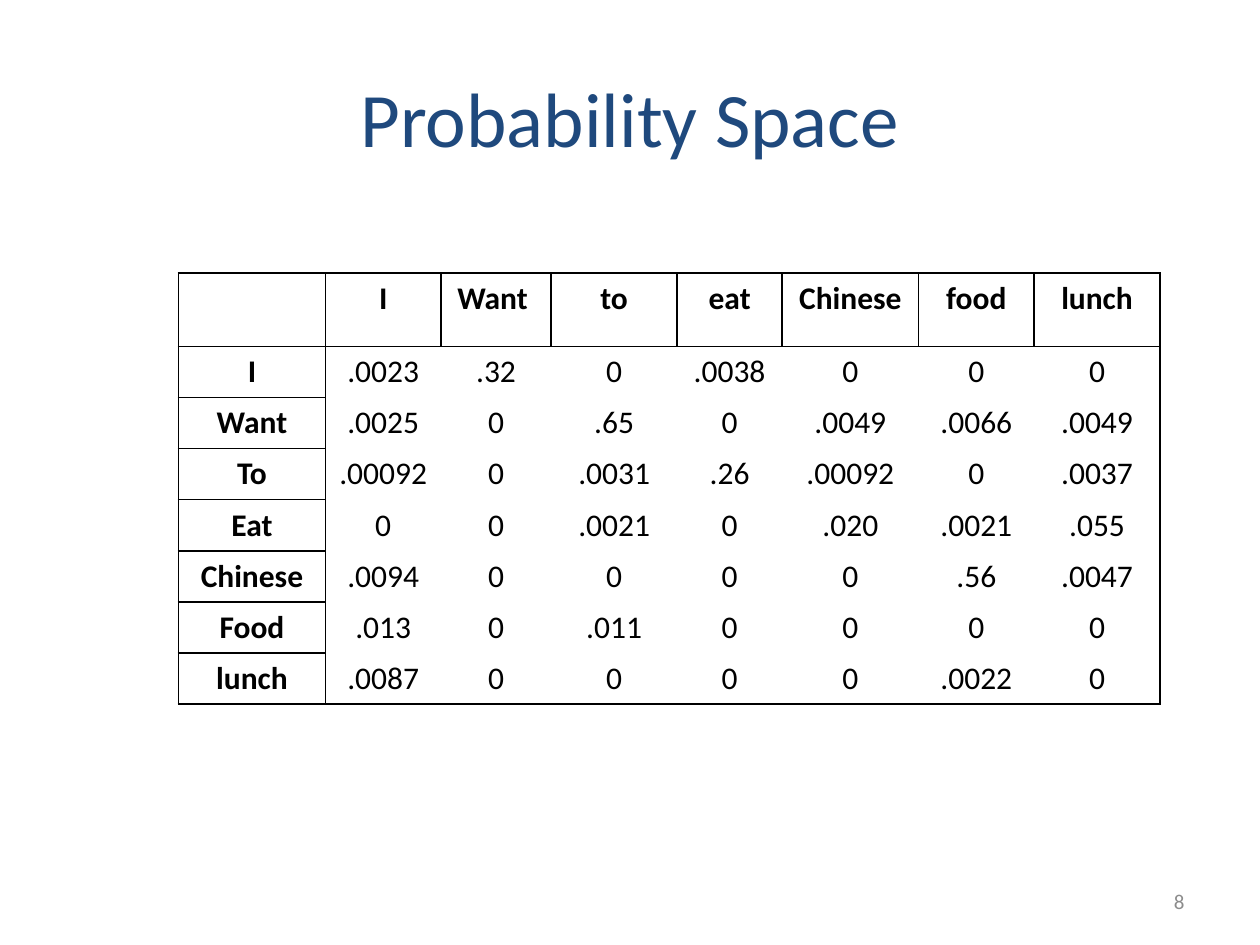
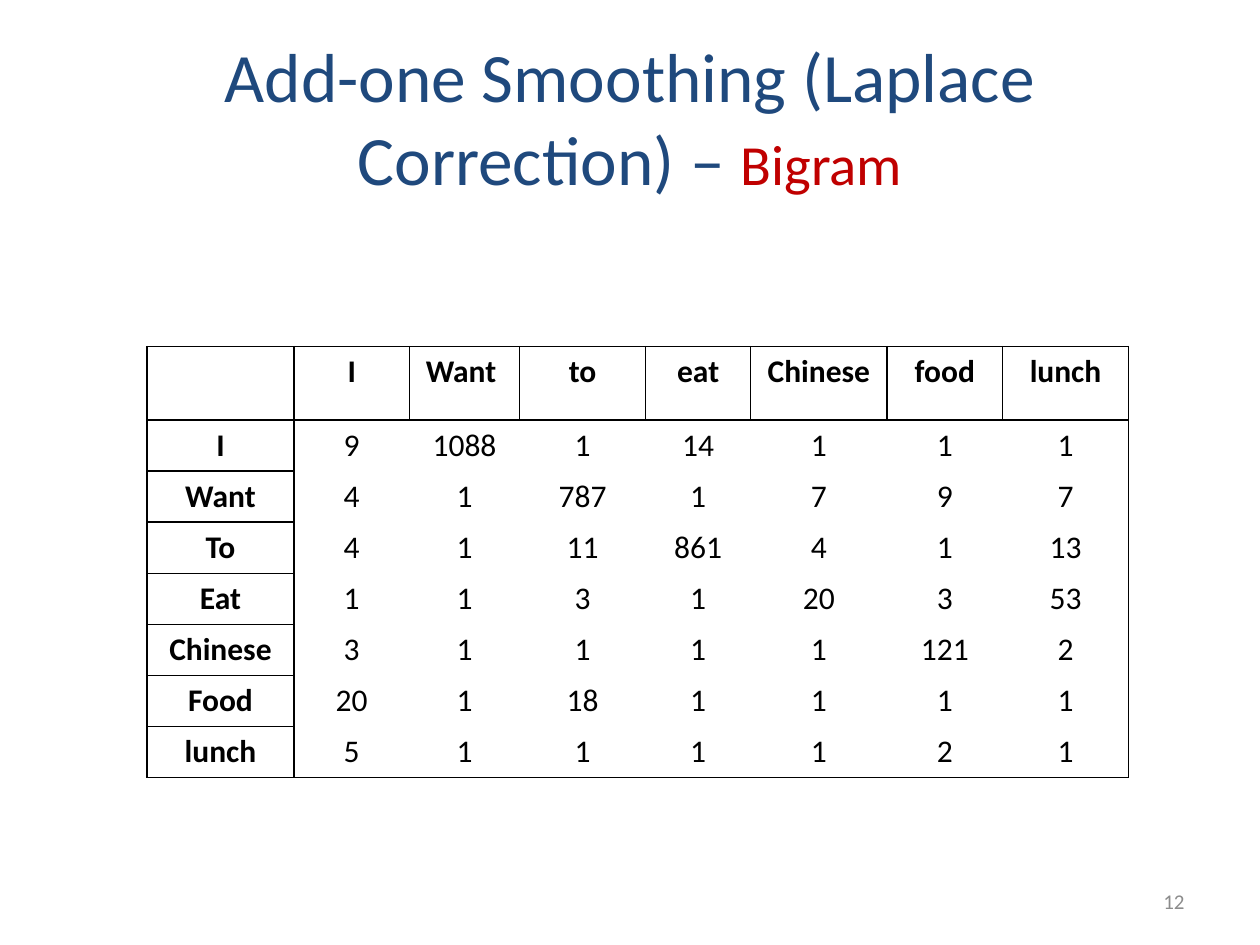
from dataclasses import dataclass

from lxml.etree import SubElement
from pptx import Presentation
from pptx.dml.color import RGBColor
from pptx.enum.text import MSO_ANCHOR, MSO_AUTO_SIZE, PP_ALIGN
from pptx.oxml.ns import qn
from pptx.slide import Slide
from pptx.table import _Cell
from pptx.text.text import TextFrame, _Paragraph
from pptx.util import Pt

FONT = "Calibri"
NAVY = "1F497D"
RED = "C00000"
GREY = "8C8C8C"
BLACK = "000000"

TITLE_ONLY_LAYOUT = 5
COLUMN_WIDTHS = (84, 66, 63, 72, 60, 78, 66, 72)
HEADER_HEIGHT = 42
ROW_HEIGHT = 29.2
BORDER_WIDTH = 1
NEXT_WORDS = ("I", "Want ", "to", "eat", "Chinese", "food", "lunch")
FIRST_WORDS = ("I", "Want", "To", "Eat", "Chinese", "Food", "lunch")


@dataclass(frozen=True)
class Span:
    text: str
    size: float
    color: str
    bold: bool = False


@dataclass(frozen=True)
class BigramPage:
    title: tuple[Span, ...]
    number: int
    left: float
    top: float
    values: tuple[str, ...]


PAGES = (
    BigramPage(
        title=(Span("Probability Space", 44, NAVY),),
        number=8,
        left=102,
        top=156,
        values=(
            ".0023 .32 0 .0038 0 0 0",
            ".0025 0 .65 0 .0049 .0066 .0049",
            ".00092 0 .0031 .26 .00092 0 .0037",
            "0 0 .0021 0 .020 .0021 .055",
            ".0094 0 0 0 0 .56 .0047",
            ".013 0 .011 0 0 0 0",
            ".0087 0 0 0 0 .0022 0",
        ),
    ),
    BigramPage(
        title=(
            Span("Add-one Smoothing (Laplace Correction) – ", 39.6, NAVY),
            Span("Bigram", 32.4, RED),
        ),
        number=12,
        left=84,
        top=198,
        values=(
            "9 1088 1 14 1 1 1",
            "4 1 787 1 7 9 7",
            "4 1 11 861 4 1 13",
            "1 1 3 1 20 3 53",
            "3 1 1 1 1 121 2",
            "20 1 18 1 1 1 1",
            "5 1 1 1 1 2 1",
        ),
    ),
)


def rgb(color: str) -> RGBColor:
    return RGBColor.from_string(color)


def write(paragraph: _Paragraph, spans: tuple[Span, ...], alignment: PP_ALIGN) -> None:
    paragraph.alignment = alignment
    for span in spans:
        run = paragraph.add_run()
        run.text = span.text
        run.font.name = FONT
        run.font.size = Pt(span.size)
        run.font.bold = span.bold
        run.font.color.rgb = rgb(span.color)


def set_frame(frame: TextFrame) -> None:
    frame.word_wrap = True
    frame.auto_size = MSO_AUTO_SIZE.NONE
    frame.vertical_anchor = MSO_ANCHOR.MIDDLE


def add_title(page: Slide, spans: tuple[Span, ...]) -> None:
    title = page.shapes.title
    title.left, title.top, title.width, title.height = Pt(36), Pt(21.6), Pt(648), Pt(90)
    set_frame(title.text_frame)
    write(title.text_frame.paragraphs[0], spans, PP_ALIGN.CENTER)


def add_page_number(page: Slide, number: int) -> None:
    box = page.shapes.add_textbox(Pt(516), Pt(500.5), Pt(168), Pt(28.75))
    set_frame(box.text_frame)
    write(box.text_frame.paragraphs[0], (Span(str(number), 12, GREY),), PP_ALIGN.RIGHT)


def border_cell(cell: _Cell, row: int, column: int) -> None:
    boxed = row == 0 or column == 0
    sides = {
        "L": boxed or column == 1,
        "R": boxed or column == len(NEXT_WORDS),
        "T": boxed or row == 1,
        "B": boxed or row == len(FIRST_WORDS),
    }
    properties = cell._tc.get_or_add_tcPr()
    for side, visible in sides.items():
        line = SubElement(properties, qn(f"a:ln{side}"), w=str(Pt(BORDER_WIDTH)))
        if visible:
            fill = SubElement(line, qn("a:solidFill"))
            SubElement(fill, qn("a:srgbClr"), val=BLACK)
        else:
            SubElement(line, qn("a:noFill"))


def add_bigram_table(page: Slide, content: BigramPage) -> None:
    rows = [("", *NEXT_WORDS)]
    rows += [(word, *line.split()) for word, line in zip(FIRST_WORDS, content.values)]
    heights = [HEADER_HEIGHT] + [ROW_HEIGHT] * len(FIRST_WORDS)
    table = page.shapes.add_table(
        len(rows), len(COLUMN_WIDTHS), Pt(content.left), Pt(content.top),
        Pt(sum(COLUMN_WIDTHS)), Pt(sum(heights)),
    ).table
    table.first_row = False
    table.horz_banding = False
    for column, width in zip(table.columns, COLUMN_WIDTHS):
        column.width = Pt(width)
    for row, height in zip(table.rows, heights):
        row.height = Pt(height)
    for row, texts in enumerate(rows):
        for column, text in enumerate(texts):
            cell = table.cell(row, column)
            border_cell(cell, row, column)
            cell.fill.background()
            if text:
                span = Span(text, 18, BLACK, bold=row == 0 or column == 0)
                write(cell.text_frame.paragraphs[0], (span,), PP_ALIGN.CENTER)


def main() -> None:
    deck = Presentation()
    deck.slide_width, deck.slide_height = Pt(720), Pt(540)
    for content in PAGES:
        page = deck.slides.add_slide(deck.slide_layouts[TITLE_ONLY_LAYOUT])
        add_title(page, content.title)
        add_page_number(page, content.number)
        add_bigram_table(page, content)
    deck.save("out.pptx")


if __name__ == "__main__":
    main()
